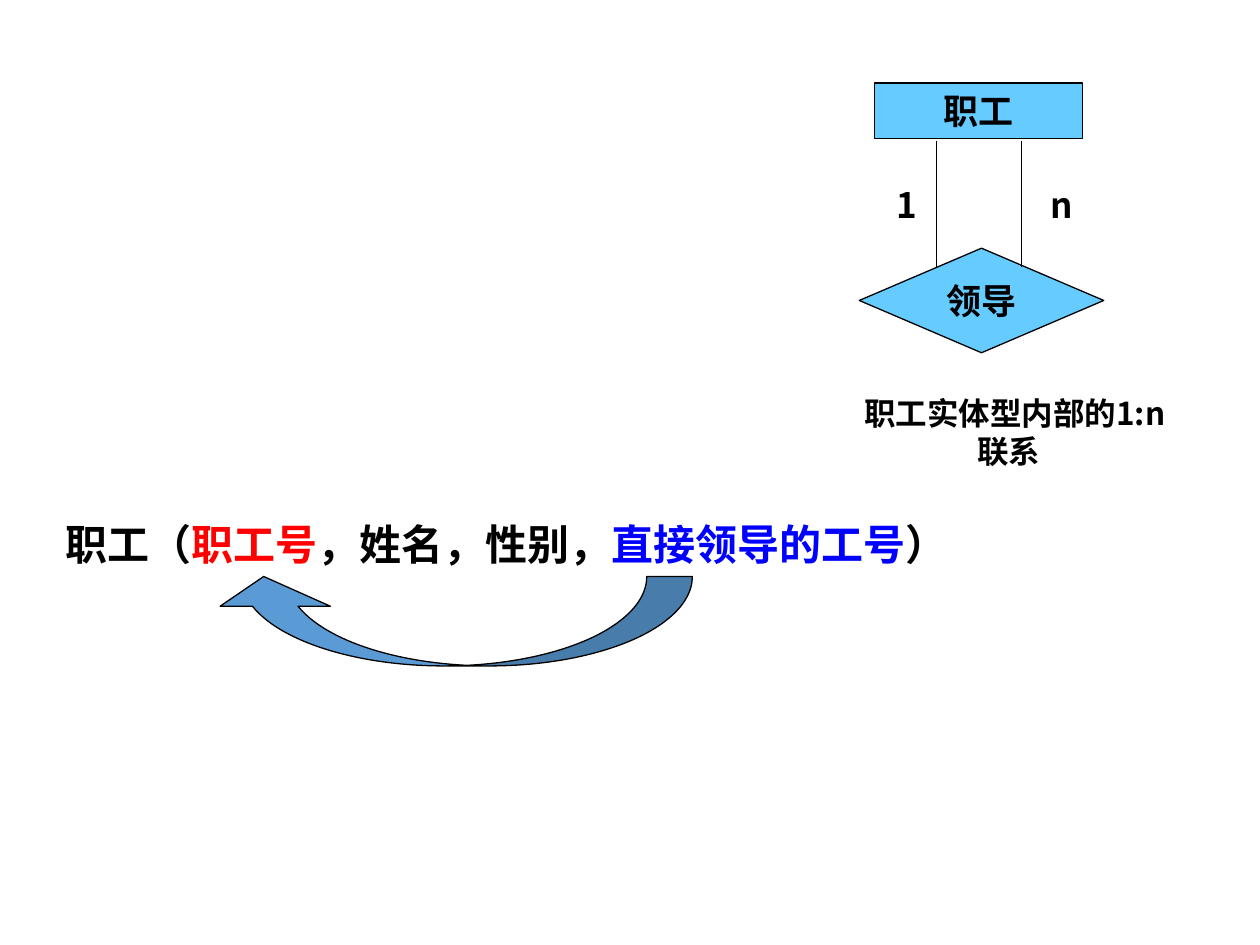
"""Build the slide on a one-to-many link inside the staff entity."""
import pptx
import pptx.util
import pptx.dml.color
import pptx.enum.shapes
import pptx.enum.text
from lxml import etree
from pptx.oxml.ns import qn

Inches, Pt = pptx.util.Inches, pptx.util.Pt
RGBColor = pptx.dml.color.RGBColor
KIND = pptx.enum.shapes.MSO_SHAPE
ALIGN = pptx.enum.text.PP_ALIGN
ANCHOR = pptx.enum.text.MSO_ANCHOR
FIT = pptx.enum.text.MSO_AUTO_SIZE

FONT = "Noto Sans CJK SC"
BLACK = RGBColor(0, 0, 0)
RED = RGBColor(255, 0, 0)
BLUE = RGBColor(0, 0, 255)
SKY = RGBColor(0x66, 0xCC, 0xFF)
STEEL = RGBColor(0x5B, 0x9B, 0xD5)

SCHEMA = [("职工（", BLACK), ("职工号", RED), ("，姓名，性别，", BLACK),
          ("直接领导的工号", BLUE), ("）", BLACK)]
NODES = [("职工", KIND.RECTANGLE, (6.94, 0.66, 1.65, 0.44), ANCHOR.TOP, True),
         ("领导", KIND.DIAMOND, (6.82, 1.97, 1.94, 0.83), ANCHOR.MIDDLE, False)]
LINKS = [7.43, 8.11]
LABELS = [("1", (6.96, 1.41, 0.48, 0.43), 20, 0),
          ("n", (8.18, 1.41, 0.49, 0.43), 20, 0),
          ("职工实体型内部的1:n联系", (6.55, 3.08, 2.91, 0.7), 18, 0.1)]
BEND = (0.51, 1.233, 0.333)


def place(box):
    return [Inches(part) for part in box]


def style(run, size, color=BLACK):
    font = run.font
    font.size, font.bold, font.name = Pt(size), True, FONT
    font.color.rgb = color
    east = etree.SubElement(font._element, qn("a:ea"))
    east.set("typeface", FONT)


def center(para, text, size):
    para.text = text
    para.alignment = ALIGN.CENTER
    style(para.runs[0], size)


def draw(shapes, kind, box, fill):
    shape = shapes.add_shape(kind, *place(box))
    shape.shadow.inherit = False
    shape.fill.solid()
    shape.fill.fore_color.rgb = fill
    shape.line.color.rgb = BLACK
    shape.line.width = Pt(0.75)
    return shape


def write(shapes, box):
    frame = shapes.add_textbox(*place(box)).text_frame
    frame.word_wrap = True
    frame.auto_size = FIT.SHAPE_TO_FIT_TEXT
    return frame.paragraphs[0]


def link(shapes, x):
    line = shapes.add_connector(pptx.enum.shapes.MSO_CONNECTOR.STRAIGHT,
                                *place((x, 1.12, x, 2.12)))
    line.line.color.rgb = BLACK
    line.line.width = Pt(0.75)
    etree.SubElement(line._element.spPr, qn("a:effectLst"))


def main():
    deck = pptx.Presentation()
    deck.slide_width, deck.slide_height = Inches(10), Inches(7.5)
    slide = deck.slides.add_slide(deck.slide_layouts[6])

    para = write(slide.shapes, (0.42, 4.07, 9.21, 0.5))
    for text, color in SCHEMA:
        run = para.add_run()
        run.text = text
        style(run, 24, color)

    arrow = draw(slide.shapes, KIND.CURVED_LEFT_ARROW,
                 (3.22, 3.01, 0.71, 3.84), STEEL)
    arrow.rotation = 90
    for i, value in enumerate(BEND):
        arrow.adjustments[i] = value

    chart = slide.shapes.add_group_shape().shapes
    for text, kind, box, anchor, wrap in NODES:
        frame = draw(chart, kind, box, SKY).text_frame
        frame.word_wrap, frame.vertical_anchor = wrap, anchor
        center(frame.paragraphs[0], text, 20)
    for x in LINKS:
        link(chart, x)
    for text, box, size, indent in LABELS:
        para = write(chart, box)
        center(para, text, size)
        if indent:
            para._p.get_or_add_pPr().set("indent", str(Inches(indent)))

    deck.save("out.pptx")


if __name__ == "__main__":
    main()
